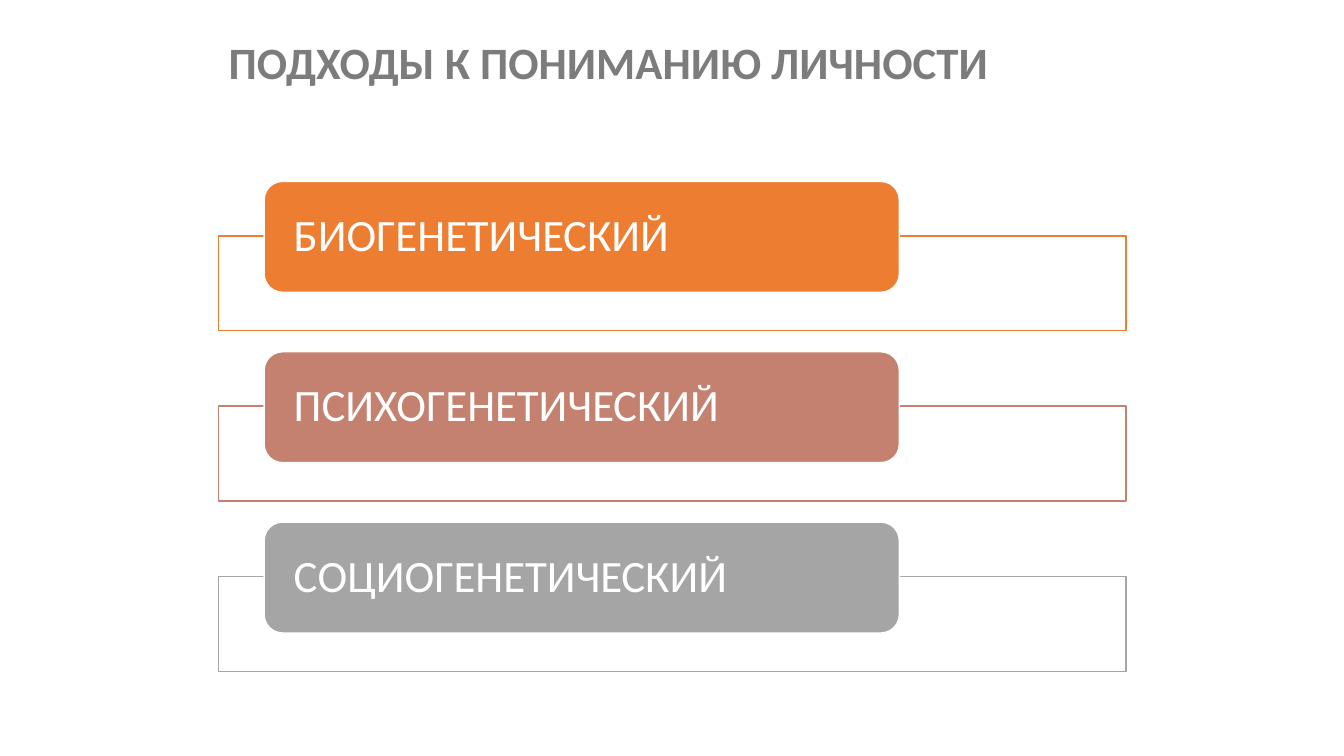
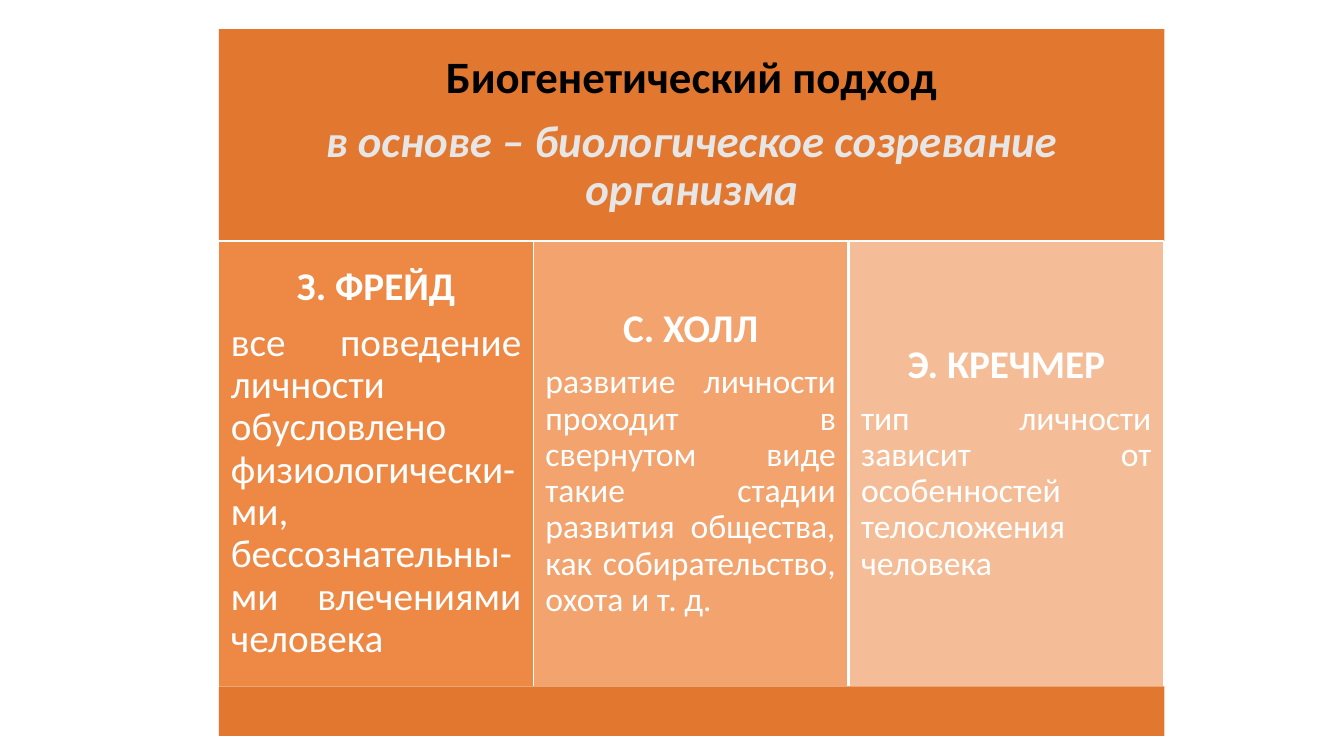
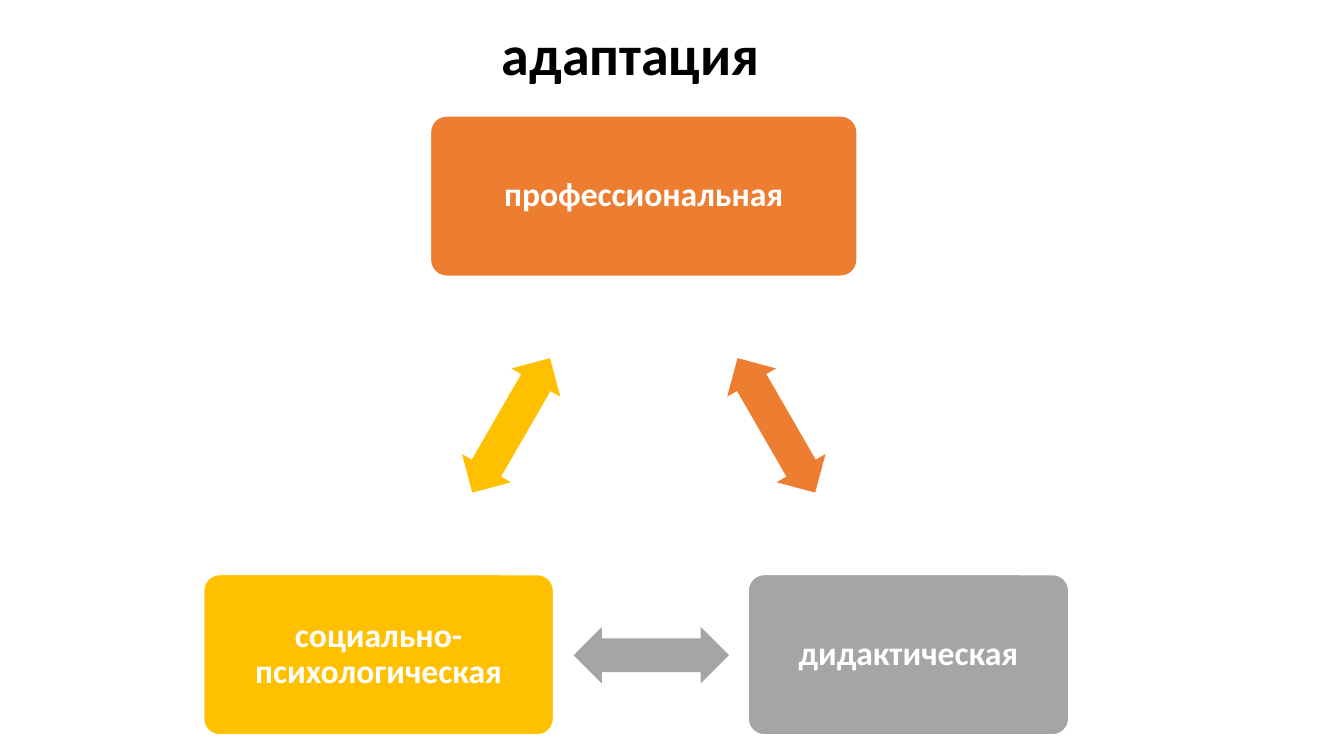
from pptx import Presentation
from pptx.dml.color import RGBColor
from pptx.enum.shapes import MSO_SHAPE
from pptx.enum.text import MSO_ANCHOR, PP_ALIGN
from pptx.oxml import parse_xml
from pptx.oxml.ns import nsdecls
from pptx.util import Emu, Pt

RECT = MSO_SHAPE.RECTANGLE
ROUNDED = MSO_SHAPE.ROUNDED_RECTANGLE
DOUBLE_ARROW = MSO_SHAPE.LEFT_RIGHT_ARROW
MIDDLE = MSO_ANCHOR.MIDDLE
LEFT, CENTER, JUSTIFY = PP_ALIGN.LEFT, PP_ALIGN.CENTER, PP_ALIGN.JUSTIFY

EMU_PER_PX = 9144  # 100 px to the inch
FONT = "Calibri"
WHITE, BLACK = "FFFFFF", "000000"
ORANGE, ROSE, GRAY, GOLD = "ED7D31", "C48170", "A5A5A5", "FFC000"
BAND, PALE, TITLE_GRAY = "E2772F", "E7E6E6", "7C7C7C"
CONTENT_LEFT = 217


def px(value):
    return Emu(value * EMU_PER_PX)


def rgb(value):
    return RGBColor.from_string(value)


def set_frame(frame, side, top):
    """Wrap and centre the text vertically, with the given insets."""
    frame.word_wrap = True
    frame.vertical_anchor = MIDDLE
    frame.margin_left = frame.margin_right = px(side)
    frame.margin_top = frame.margin_bottom = px(top)


def add_text(frame, text, size=24, color=WHITE, bold=False, italic=False,
             align=CENTER, after=0.0):
    """Fill the first empty paragraph, or append one."""
    para = frame.paragraphs[0] if not frame.text else frame.add_paragraph()
    para.alignment = align
    para.line_spacing = 0.9
    para.space_after = Pt(round(size * after, 1))
    span = para.add_run()
    span.text = text
    font = span.font
    font.name, font.size, font.bold, font.italic = FONT, Pt(size), bold, italic
    font.color.rgb = rgb(color)


def add_title(page, text, width, height, **style):
    box = page.shapes.add_textbox(px(CONTENT_LEFT), px(30), px(width), px(height))
    set_frame(box.text_frame, 10, 5)
    add_text(box.text_frame, text, bold=True, **style)


def add_box(page, kind, left, top, width, height, fill, line=None,
            opacity=100, inset=(10, 10), adjust=(), turn=0):
    box = page.shapes.add_shape(kind, px(left), px(top), px(width), px(height))
    box.shadow.inherit = False
    box.rotation = turn
    for index, value in enumerate(adjust):
        box.adjustments[index] = value
    box.fill.solid()
    box.fill.fore_color.rgb = rgb(fill)
    if opacity < 100:
        color = box.fill._xPr.solidFill.srgbClr
        color.append(parse_xml(f'<a:alpha {nsdecls("a")} val="{opacity * 1000}"/>'))
    if line:
        box.line.color.rgb = rgb(line)
        box.line.width = Pt(1)
    else:
        box.line.fill.background()
    set_frame(box.text_frame, *inset)
    return box


def build_approaches(page):
    add_title(page, "ПОДХОДЫ К ПОНИМАНИЮ ЛИЧНОСТИ", 900, 69,
              size=32, color=TITLE_GRAY, align=LEFT)
    approaches = [("БИОГЕНЕТИЧЕСКИЙ", ORANGE),
                  ("ПСИХОГЕНЕТИЧЕСКИЙ", ROSE),
                  ("СОЦИОГЕНЕТИЧЕСКИЙ", GRAY)]
    for row, (name, color) in enumerate(approaches):
        top = 180 + row * 169
        add_box(page, RECT, CONTENT_LEFT, top + 54, 900, 94, WHITE,
                line=color, opacity=90)
        label = add_box(page, ROUNDED, 262, top, 630, 110, color,
                        line=WHITE, inset=(24, 0))
        add_text(label.text_frame, name, size=32, align=LEFT)


def build_biogenetic(page):
    width, body_top, body_height = 938, 239, 442

    # Header band
    header = add_box(page, RECT, CONTENT_LEFT, 29, width, 210, BAND, inset=(13, 13))
    add_text(header.text_frame, "Биогенетический подход", size=32,
             color=BLACK, bold=True, after=0.35)
    add_text(header.text_frame, "в основе – биологическое созревание организма",
             size=32, color=PALE, bold=True, italic=True)

    # One column per author, each paler than the last
    authors = [
        ("З. ФРЕЙД", 28, 90, "все поведение личности обусловлено "
         "физиологически-ми, бессознательны-ми влечениями человека"),
        ("С. ХОЛЛ", 24, 70, "развитие личности проходит в свернутом виде такие "
         "стадии развития общества, как собирательство, охота и т. д."),
        ("Э. КРЕЧМЕР", 24, 50, "тип личности зависит от особенностей "
         "телосложения человека"),
    ]
    for index, (name, size, opacity, idea) in enumerate(authors):
        left = CONTENT_LEFT + index * width // len(authors)
        column = add_box(page, RECT, left, body_top, width // len(authors),
                         body_height, ORANGE, line=WHITE, opacity=opacity,
                         inset=(12, 12))
        add_text(column.text_frame, name, size=28, bold=True, after=0.35)
        add_text(column.text_frame, idea, size=size, align=JUSTIFY)

    # Footer band
    add_box(page, RECT, CONTENT_LEFT, body_top + body_height, width, 49, BAND)


def build_adaptation(page):
    add_title(page, "адаптация", 817, 54, size=40, color=BLACK)
    kinds = [("профессиональная", 427, 115, 423, ORANGE),
             ("дидактическая", 742, 570, 318, GRAY),
             ("социально-психологическая", 202, 570, 347, GOLD)]
    for name, left, top, width, color in kinds:
        card = add_box(page, ROUNDED, left, top, width, 159, color,
                       line=WHITE, adjust=(0.1,))
        add_text(card.text_frame, name, bold=True)

    # Arrows between the cards
    arrows = [(693, 394, 60, ORANGE), (569, 622, 180, GRAY), (430, 394, 300, GOLD)]
    for left, top, turn, color in arrows:
        add_box(page, DOUBLE_ARROW, left, top, 154, 56, color,
                adjust=(0.6, 0.5), turn=turn)


def main():
    deck = Presentation()
    deck.slide_width, deck.slide_height = px(1333), px(750)
    blank = deck.slide_layouts[6]
    for build in (build_approaches, build_biogenetic, build_adaptation):
        build(deck.slides.add_slide(blank))
    deck.save("out.pptx")


if __name__ == "__main__":
    main()
